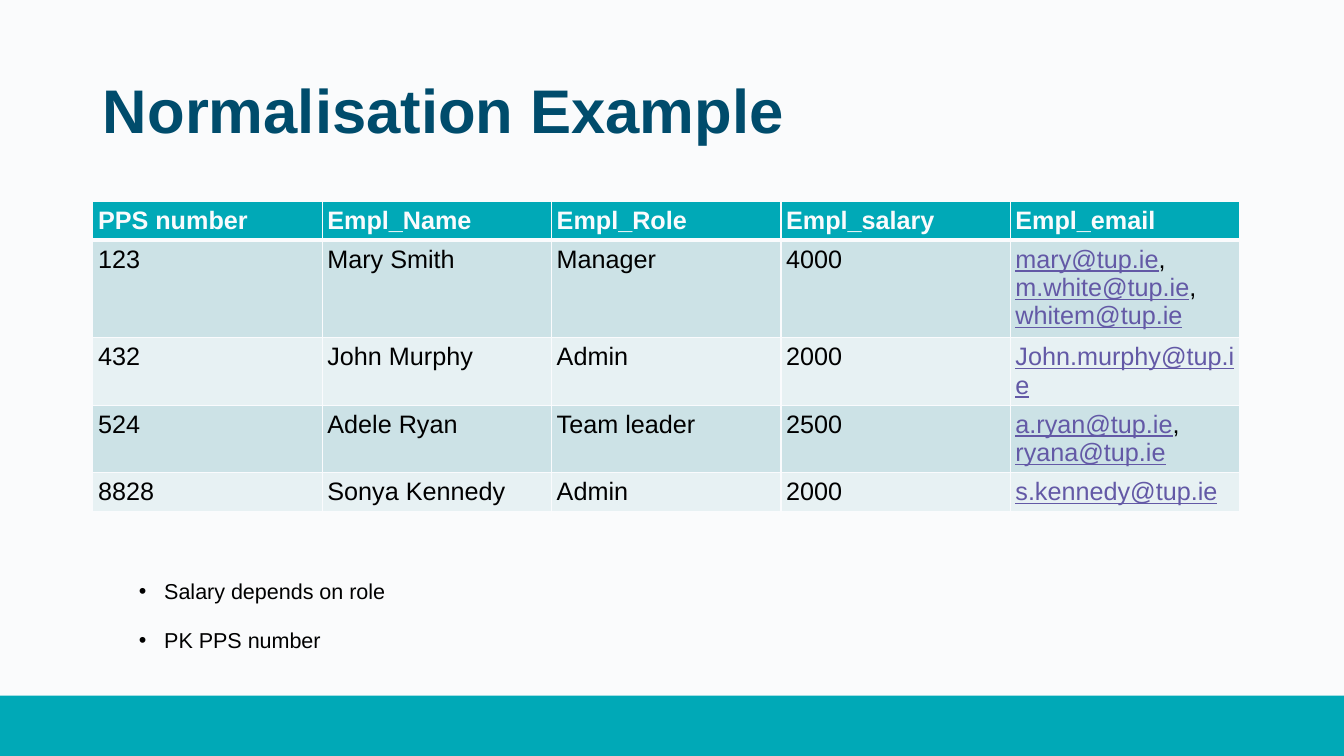
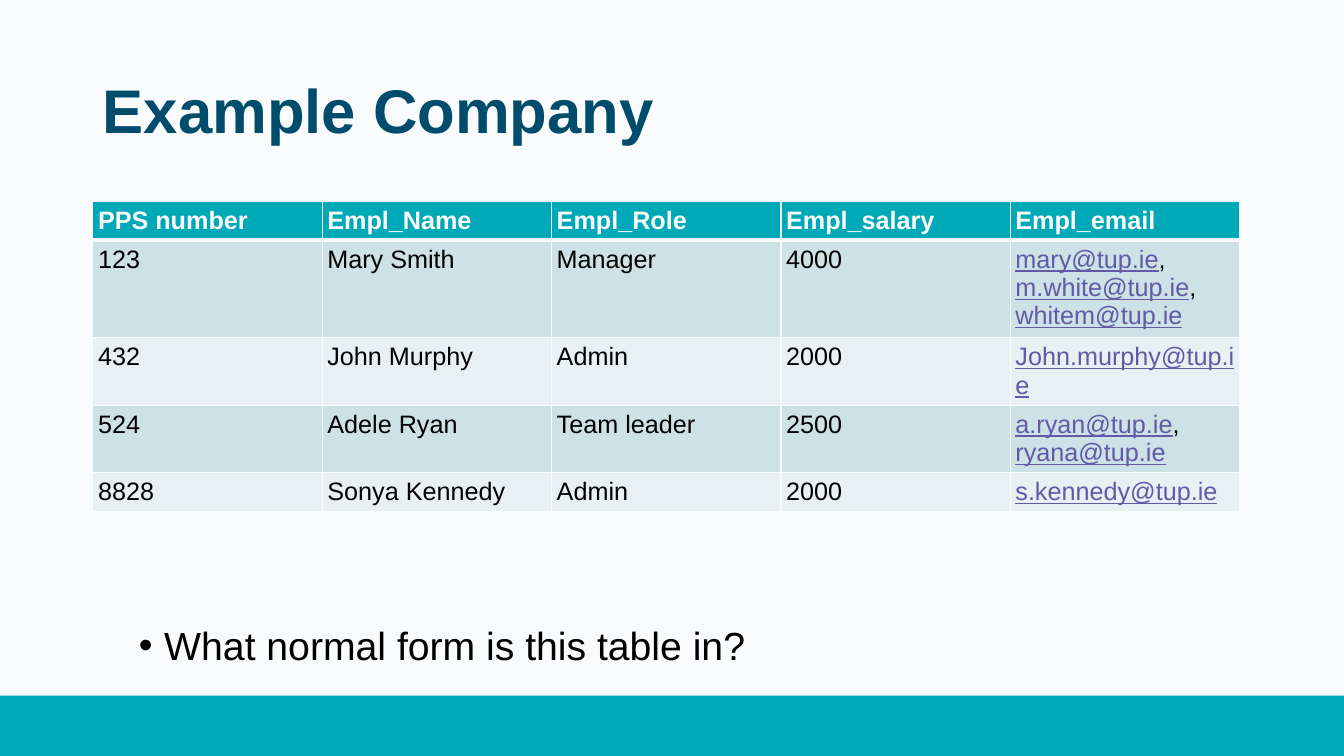
"""Build two slides on table normalisation."""
from lxml.etree import SubElement as Sub
from pptx import Presentation
from pptx.dml.color import RGBColor as RGB
from pptx.enum.shapes import MSO_SHAPE as SHAPE
from pptx.enum.text import MSO_ANCHOR as ANCHOR, MSO_AUTO_SIZE as AUTO, PP_ALIGN as ALIGN
from pptx.oxml.ns import qn
from pptx.util import Cm, Pt

PAPER = RGB(0xFA, 0xFB, 0xFC)
WHITE = RGB(0xFA, 0xFB, 0xFD)
TEAL = RGB(0x00, 0xA9, 0xB7)
NAVY = RGB(0x00, 0x4C, 0x6C)
BLACK = RGB(0x00, 0x00, 0x00)
LINK = RGB(0x63, 0x59, 0xA6)
DARK = RGB(0xCC, 0xE2, 0xE6)
LIGHT = RGB(0xE7, 0xF1, 0xF3)

WIDTH, HEIGHT = Cm(33.87), Cm(19.05)
LEFT = Cm(2.34)
BAND = Cm(17.53)
INDENT = Cm(0.64)
COLUMN = Cm(5.78)
HEIGHTS = [Cm(0.91), Cm(2.46), Cm(1.7), Cm(1.7), Cm(0.91)]
ROWS = [
    ["PPS number", "Empl_Name", "Empl_Role", "Empl_salary", "Empl_email"],
    ["123", "Mary Smith", "Manager", "4000", "mary@tup.ie,\nm.white@tup.ie,\nwhitem@tup.ie"],
    ["432", "John Murphy", "Admin", "2000", "John.murphy@tup.ie"],
    ["524", "Adele Ryan", "Team leader", "2500", "a.ryan@tup.ie,\nryana@tup.ie"],
    ["8828", "Sonya Kennedy", "Admin", "2000", "s.kennedy@tup.ie"],
]

TITLE = {"name": "Arial", "size": Pt(44), "bold": True}
CELL = {"name": "Arial", "size": Pt(18)}
INSET = {f"margin_{side}": Cm(0.13) for side in ("left", "top", "right", "bottom")}

SLIDES = [
    {"title": "Normalisation Example", "top": Cm(14.25), "size": Pt(15.4), "lead": 1.3,
     "points": ["Salary depends on role", "PK PPS number"]},
    {"title": "Example Company", "top": Cm(14.95), "size": Pt(28), "lead": 1.5,
     "points": ["What normal form is this table in?"]},
]


def style(item, values, tint=None):
    for key, value in values.items():
        setattr(item, key, value)
    if tint is not None:
        item.color.rgb = tint


def edge(cell, side, width):
    line = Sub(cell._tc.get_or_add_tcPr(), qn(f"a:ln{side}"), w=str(Pt(width)))
    Sub(Sub(line, qn("a:solidFill")), qn("a:srgbClr"), val=str(WHITE))


deck = Presentation()
style(deck, {"slide_width": WIDTH, "slide_height": HEIGHT})
back = deck.slide_master.background.fill
back.solid()
back.fore_color.rgb = PAPER

for page in SLIDES:
    slide = deck.slides.add_slide(deck.slide_layouts[5])
    shapes = slide.shapes

    band = shapes.add_shape(SHAPE.RECTANGLE, 0, BAND, WIDTH, HEIGHT - BAND)
    band.shadow.inherit = False
    band.fill.solid()
    band.fill.fore_color.rgb = TEAL
    band.line.fill.background()

    title = shapes.title
    style(title, {"left": LEFT, "top": Cm(1.02), "width": Cm(29.21), "height": Cm(3.68)})
    frame = title.text_frame
    frame.text = page["title"]
    style(frame, {"vertical_anchor": ANCHOR.MIDDLE, "auto_size": AUTO.NONE, "word_wrap": True})
    para = frame.paragraphs[0]
    style(para, {"alignment": ALIGN.LEFT, "line_spacing": 0.9})
    style(para.font, TITLE, NAVY)

    count = len(ROWS[0])
    table = shapes.add_table(
        len(ROWS), count, LEFT, Cm(5.08), COLUMN * count, sum(HEIGHTS)).table
    for column in table.columns:
        column.width = COLUMN
    for r, row in enumerate(ROWS):
        table.rows[r].height = HEIGHTS[r]
        head = r == 0
        for c, text in enumerate(row):
            cell = table.cell(r, c)
            style(cell, INSET)
            for side in "LRTB":
                thick = (head and side == "B") or (r == 1 and side == "T")
                edge(cell, side, 3 if thick else 1)
            cell.fill.solid()
            cell.fill.fore_color.rgb = TEAL if head else DARK if r % 2 else LIGHT
            cell.text = text
            for para, line in zip(cell.text_frame.paragraphs, text.split("\n")):
                para.clear()
                for part in filter(None, line.partition(",")):
                    run = para.add_run()
                    run.text = part
                    mail = "@" in part
                    tint = WHITE if head else LINK if mail else BLACK
                    style(run.font, {**CELL, "bold": head, "underline": mail}, tint)

    box = shapes.add_textbox(Cm(3.25), page["top"], Cm(28.27), Cm(2.26))
    frame = box.text_frame
    frame.word_wrap = True
    frame.text = "\n".join(page["points"])
    for n, para in enumerate(frame.paragraphs):
        props = para._p.get_or_add_pPr()
        props.set("marL", str(INDENT))
        props.set("indent", str(-INDENT))
        Sub(props, qn("a:buFont"), typeface="Arial")
        Sub(props, qn("a:buChar"), char="•")
        style(para, {"line_spacing": page["lead"], "space_before": Pt(11 if n else 0)})
        style(para.font, {"name": "Arial", "size": page["size"]}, BLACK)

deck.save("out.pptx")
